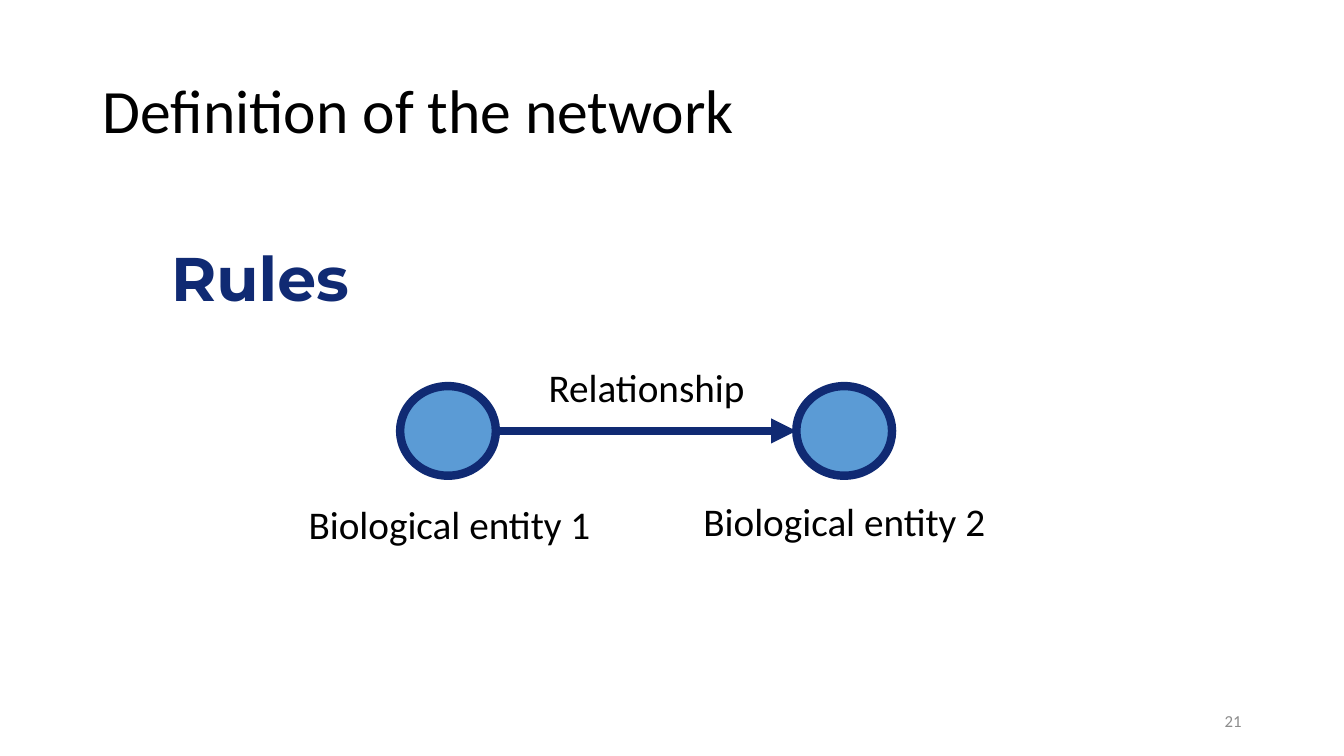
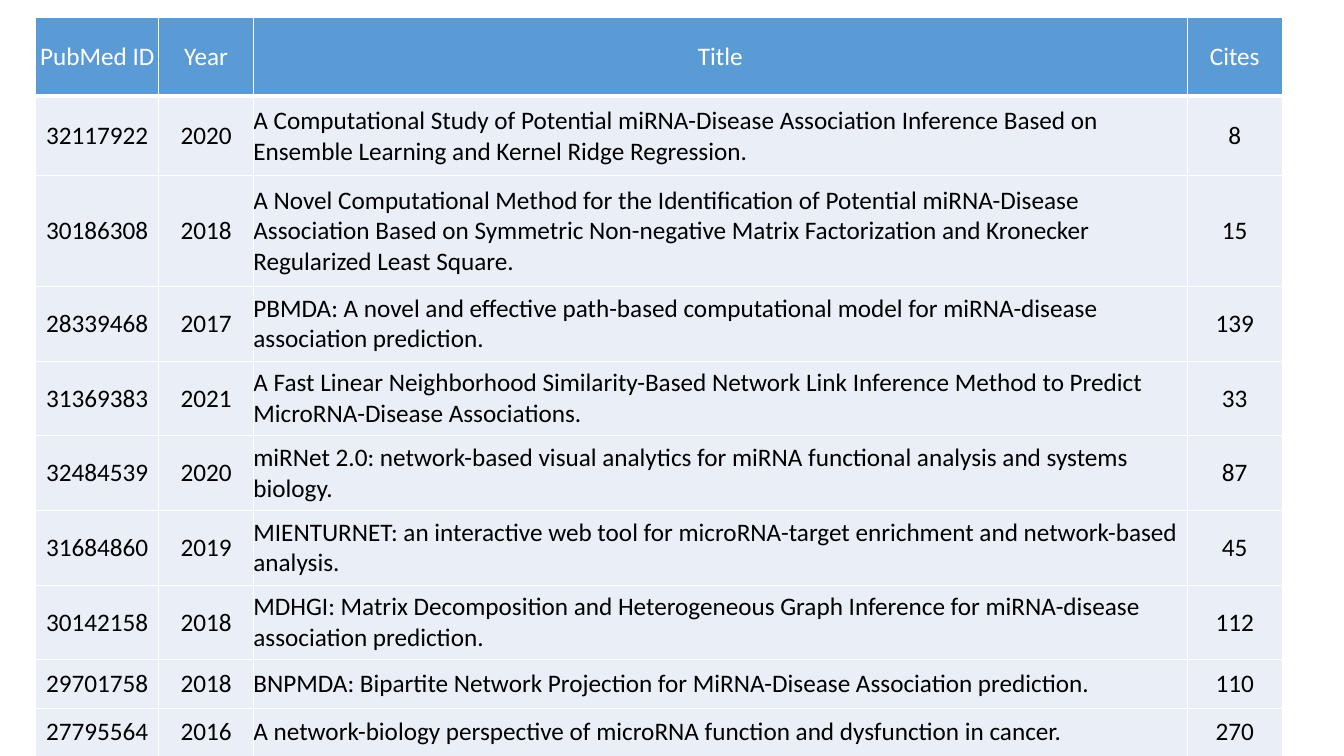
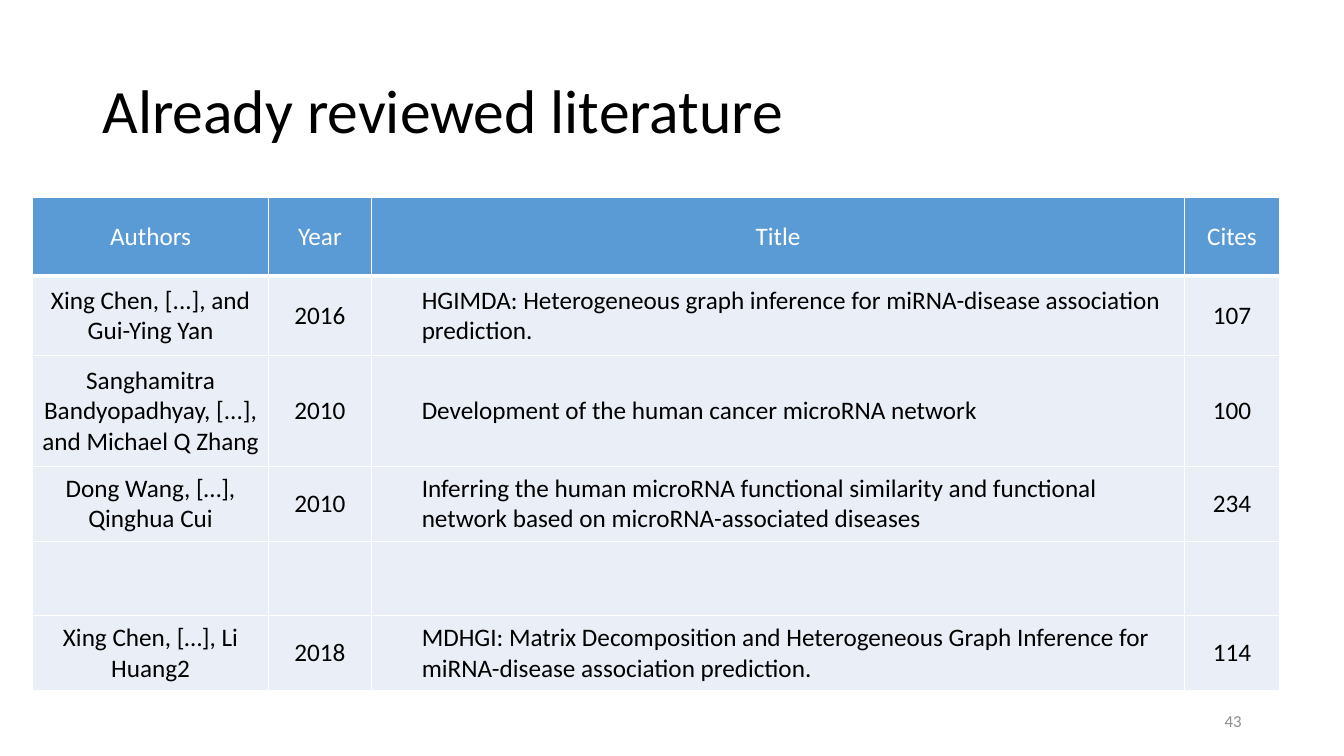
import pptx
import pptx.dml.color
import pptx.enum.shapes
import pptx.enum.text
import pptx.oxml
import pptx.oxml.ns
import pptx.util

Pt = pptx.util.Pt
ALIGN = pptx.enum.text.PP_ALIGN
ANCHOR = pptx.enum.text.MSO_ANCHOR

COLOURS = {
    "text": "000000",
    "navy": "102A73",
    "blue": "5B9BD5",
    "pale": "EAEFF7",
    "white": "FFFFFF",
    "grey": "8C8C8C",
}
FONT = "Calibri"
HEADING_FONT = "Montserrat"
ROW_HEIGHTS = [56.2, 56.9, 79.2] + [53.3] * 5 + [34.6] * 2

RECENT_PAPERS = [
    ("PubMed ID", "Year", "Title", "Cites"),
    ("32117922", "2020", "A Computational Study of Potential miRNA-Disease Association Inference Based on "
     "Ensemble Learning and Kernel Ridge Regression.", "8"),
    ("30186308", "2018", "A Novel Computational Method for the Identification of Potential miRNA-Disease "
     "Association Based on Symmetric Non-negative Matrix Factorization and Kronecker "
     "Regularized Least Square.", "15"),
    ("28339468", "2017", "PBMDA: A novel and effective path-based computational model for miRNA-disease "
     "association prediction.", "139"),
    ("31369383", "2021", "A Fast Linear Neighborhood Similarity-Based Network Link Inference Method to Predict "
     "MicroRNA-Disease Associations.", "33"),
    ("32484539", "2020", "miRNet 2.0: network-based visual analytics for miRNA functional analysis and systems "
     "biology.", "87"),
    ("31684860", "2019", "MIENTURNET: an interactive web tool for microRNA-target enrichment and network-based "
     "analysis.", "45"),
    ("30142158", "2018", "MDHGI: Matrix Decomposition and Heterogeneous Graph Inference for miRNA-disease "
     "association prediction.", "112"),
    ("29701758", "2018", "BNPMDA: Bipartite Network Projection for MiRNA-Disease Association prediction.", "110"),
    ("27795564", "2016", "A network-biology perspective of microRNA function and dysfunction in cancer.", "270"),
]
REVIEWED_PAPERS = [
    ("Authors", "Year", "Title", "Cites"),
    ("Xing Chen, [...], and Gui-Ying Yan", "2016",
     "HGIMDA: Heterogeneous graph inference for miRNA-disease association prediction.", "107"),
    ("Sanghamitra Bandyopadhyay, [...], and Michael Q Zhang", "2010",
     "Development of the human cancer microRNA network", "100"),
    ("Dong Wang, […], Qinghua Cui", "2010",
     "Inferring the human microRNA functional similarity and functional network based on "
     "microRNA-associated diseases", "234"),
    ("", "", "", ""),
    ("Xing Chen, […], Li Huang2", "2018",
     "MDHGI: Matrix Decomposition and Heterogeneous Graph Inference for miRNA-disease "
     "association prediction.", "114"),
]


def colour(name):
    return pptx.dml.color.RGBColor.from_string(COLOURS[name])


def write(frame, text, size, tint="text", align=ALIGN.LEFT, font=FONT, bold=False):
    frame.text = text
    para = frame.paragraphs[0]
    para.alignment = align
    para.font.name = font
    para.font.size = Pt(size)
    para.font.bold = bold
    para.font.color.rgb = colour(tint)
    return para


def add_text(page, left, top, width, height, text, size, wrap=True, anchor=ANCHOR.TOP, **style):
    box = page.shapes.add_textbox(Pt(left), Pt(top), Pt(width), Pt(height))
    box.text_frame.word_wrap = wrap
    box.text_frame.vertical_anchor = anchor
    return write(box.text_frame, text, size, **style)


def add_page(deck, title=None, number=None):
    page = deck.slides.add_slide(deck.slide_layouts[5 if title else 6])
    if title:
        box = page.shapes.title
        box.left, box.top, box.width, box.height = Pt(66), Pt(28.8), Pt(828), Pt(104.4)
        box.text_frame.auto_size = pptx.enum.text.MSO_AUTO_SIZE.NONE
        box.text_frame.vertical_anchor = ANCHOR.MIDDLE
        write(box.text_frame, title, 44).line_spacing = 0.9
    if number:
        add_text(page, 678, 500.4, 216, 28.8, number, 12,
                 anchor=ANCHOR.MIDDLE, tint="grey", align=ALIGN.RIGHT)
    return page


def add_node(page, left, top, width, height):
    node = page.shapes.add_shape(pptx.enum.shapes.MSO_SHAPE.OVAL, Pt(left), Pt(top), Pt(width), Pt(height))
    node.shadow.inherit = False
    node.fill.solid()
    node.fill.fore_color.rgb = colour("blue")
    node.line.color.rgb = colour("navy")
    node.line.width = Pt(6)


def add_arrow(page, start, end, middle):
    arrow = page.shapes.add_connector(
        pptx.enum.shapes.MSO_CONNECTOR.STRAIGHT, Pt(start), Pt(middle), Pt(end), Pt(middle))
    arrow.line.color.rgb = colour("navy")
    arrow.line.width = Pt(6)
    namespace = pptx.oxml.ns.nsdecls("a")
    arrow.line._get_or_add_ln().append(pptx.oxml.parse_xml(f'<a:tailEnd {namespace} type="triangle"/>'))
    arrow._element.spPr.append(pptx.oxml.parse_xml(f"<a:effectLst {namespace}/>"))


def add_network(page, left, top):
    width, height, pitch = 68.4, 64, 283
    label_width, label_height = 218, 41
    labels = [("Biological entity 1", 78), ("Biological entity 2", 75.8)]
    for index, (label, drop) in enumerate(labels):
        node_left = left + index * pitch
        add_node(page, node_left, top, width, height)
        add_text(page, node_left + (width - label_width) / 2 + 1 - index, top + drop, label_width, label_height,
                 label, 28, wrap=False, align=ALIGN.CENTER)
    add_arrow(page, left + width, left + pitch, top + height / 2)
    add_text(page, left + 98, top - 19.5, 156, label_height,
             "Relationship", 28, wrap=False, align=ALIGN.CENTER)


def add_borders(cell, header):
    properties = cell._tc.get_or_add_tcPr()
    for side in "LRTB":
        width = Pt(3 if header and side == "B" else 1)
        properties.append(pptx.oxml.parse_xml(
            f'<a:ln{side} {pptx.oxml.ns.nsdecls("a")} w="{width}"><a:solidFill>'
            f'<a:srgbClr val="{COLOURS["white"]}"/></a:solidFill></a:ln{side}>'))


def add_paper_table(page, left, top, widths, papers, title_indent=0):
    heights = ROW_HEIGHTS[:len(papers)]
    table = page.shapes.add_table(len(papers), len(widths), Pt(left), Pt(top),
                                  Pt(sum(widths)), Pt(sum(heights))).table
    table.horz_banding = False
    for column, width in zip(table.columns, widths):
        column.width = Pt(width)
    for row_index, paper in enumerate(papers):
        table.rows[row_index].height = Pt(heights[row_index])
        header = row_index == 0
        for column_index, text in enumerate(paper):
            cell = table.cell(row_index, column_index)
            cell.margin_left = cell.margin_right = cell.margin_top = cell.margin_bottom = 0
            cell.vertical_anchor = ANCHOR.MIDDLE
            add_borders(cell, header)
            cell.fill.solid()
            cell.fill.fore_color.rgb = colour("blue" if header else "pale")
            paper_title = column_index == 2 and not header
            para = write(cell.text_frame, text, 18, tint="white" if header else "text",
                         align=ALIGN.LEFT if paper_title else ALIGN.CENTER)
            if paper_title and title_indent:
                para._p.get_or_add_pPr().set("marL", str(Pt(title_indent)))


def main():
    deck = pptx.Presentation()
    deck.slide_width, deck.slide_height = Pt(960), Pt(540)

    page = add_page(deck, "Definition of the network", "21")
    add_text(page, 115.2, 173.5, 319.7, 62, "Rules", 44,
             tint="navy", font=HEADING_FONT, bold=True).line_spacing = 0.9
    add_network(page, 285.8, 275.8)

    page = add_page(deck)
    add_paper_table(page, 25.5, 12.5, [88, 67.5, 667, 68], RECENT_PAPERS)

    page = add_page(deck, "Already reviewed literature", "43")
    add_paper_table(page, 23.3, 141, [168.5, 73.5, 581, 67.5], REVIEWED_PAPERS, title_indent=36)

    deck.save("out.pptx")


if __name__ == "__main__":
    main()
